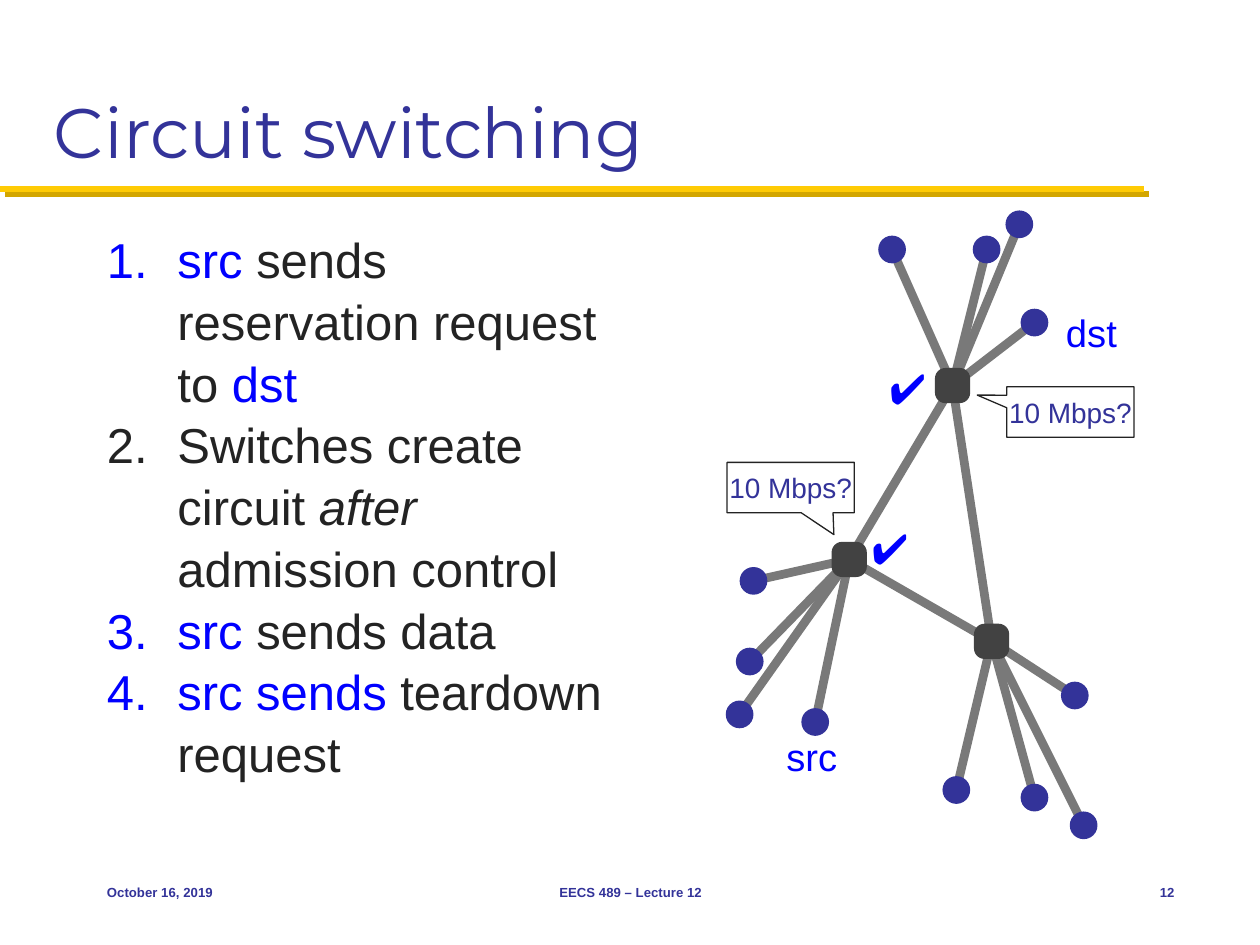
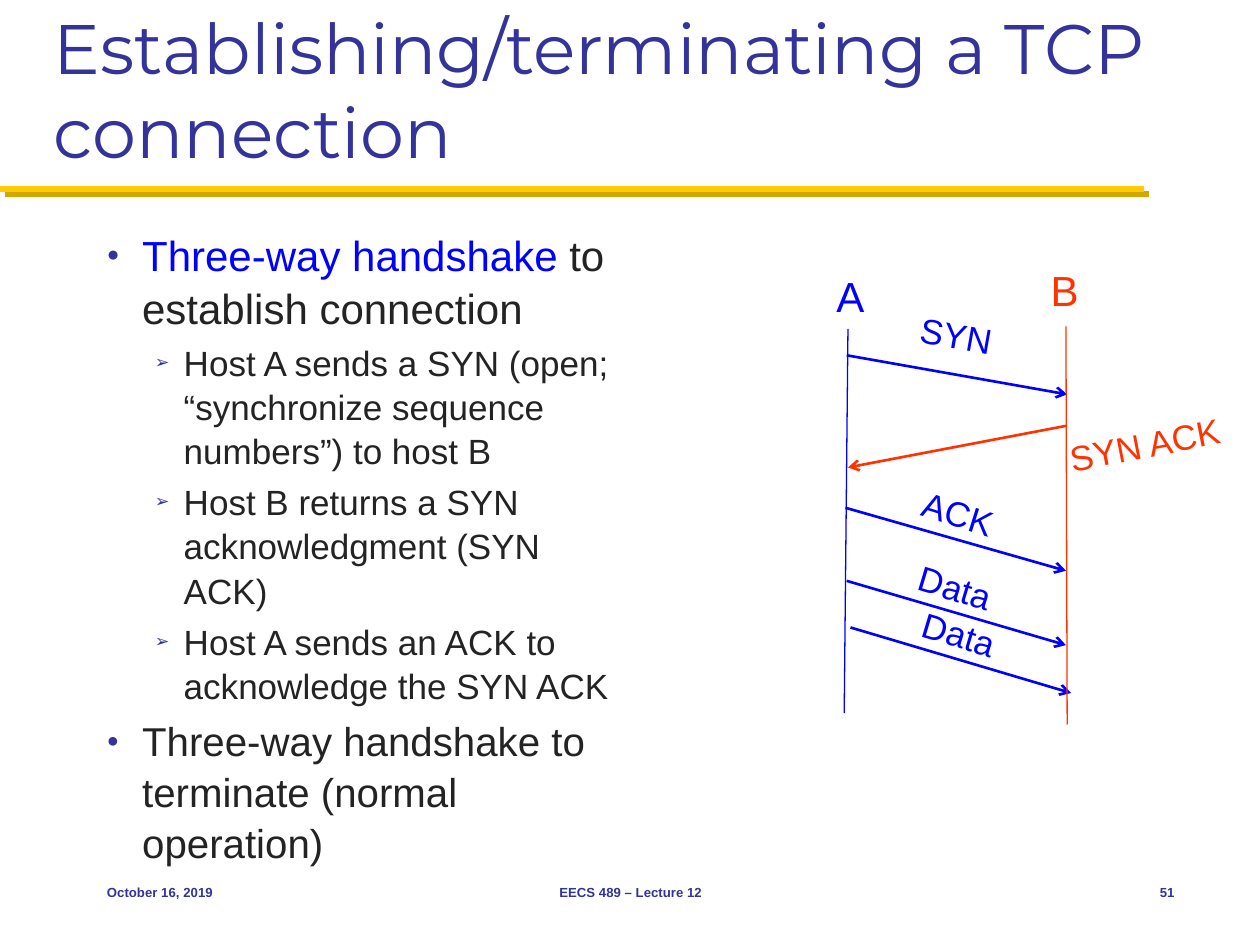
import pptx
import pptx.util
import pptx.dml.color
import pptx.enum.shapes
import pptx.enum.text
import pptx.oxml.ns
from lxml import etree

Inches, Pt = pptx.util.Inches, pptx.util.Pt
RGBColor = pptx.dml.color.RGBColor
SHAPE = pptx.enum.shapes.MSO_SHAPE
ALIGN = pptx.enum.text.PP_ALIGN
ANCHOR = pptx.enum.text.MSO_ANCHOR
qn = pptx.oxml.ns.qn

# Shared colours
NAVY = RGBColor(0x33, 0x33, 0x99)
BLUE = RGBColor(0x00, 0x00, 0xFF)
RED = RGBColor(0xFF, 0x33, 0x00)
INK = RGBColor(0x23, 0x23, 0x23)
GOLD = RGBColor(0xFF, 0xCB, 0x05)
DARK_GOLD = RGBColor(0xD3, 0xA6, 0x00)
LINK_GREY = RGBColor(0x79, 0x79, 0x79)
SWITCH_GREY = RGBColor(0x42, 0x42, 0x42)

# Shared wording and places
DATE = "October 16, 2019"
COURSE = "EECS 489 – Lecture 12"
BODY_AREA = (0.75, 1.75, 4.25, 4.83)

# Circuit switching: each step is a list of (text, format) runs
STEPS = [
    [("src", {"color": BLUE}), (" sends reservation request to ", {}),
     ("dst", {"color": BLUE})],
    [("Switches create circuit ", {}), ("after", {"italic": True}),
     (" admission control", {})],
    [("src ", {"color": BLUE}), ("sends data", {})],
    [("src sends ", {"color": BLUE}), ("teardown request", {})],
]
SWITCHES = {"top": (7.56, 3.06), "left": (6.74, 4.44), "right": (7.87, 5.09)}
TRUNKS = [("left", "top"), ("left", "right"), ("top", "right")]
HOSTS = {
    "top": [(7.08, 1.98), (7.83, 1.98), (8.09, 1.78), (8.21, 2.56)],
    "left": [(5.98, 4.61), (5.95, 5.25), (5.87, 5.67), (6.47, 5.73)],
    "right": [(7.59, 6.27), (8.21, 6.33), (8.6, 6.55), (8.53, 5.52)],
}
HOST_SIZE, SWITCH_SIZE = 0.22, 0.28
HOST_LABELS = [("dst", 8.42, 2.41), ("src", 6.2, 5.78)]
QUESTIONS = [(5.77, 3.67, (0.34, 0.934)), (7.99, 3.07, (-0.732, -0.334))]
CHECKS = [(6.82, 4.1), (6.96, 2.83)]

# TCP connection: (level, size, runs)
POINTS = [
    (0, 24, [("Three-way handshake", {"color": BLUE}),
             (" to establish connection", {})]),
    (1, 20, [("Host A sends a SYN (open; “synchronize sequence numbers”) "
              "to host B", {})]),
    (1, 20, [("Host B returns a SYN acknowledgment (SYN ACK)", {})]),
    (1, 20, [("Host A sends an ACK to acknowledge the SYN ACK", {})]),
    (0, 23, [("Three-way handshake to terminate (normal operation)", {})]),
]
BULLETS = [("●", 0.28, 0.28), ("➢", 0.61, 0.23)]  # sign, indent, hang
# Host name, colour, label box, timeline ends
TIMELINES = [
    ("B", RED, (8.24, 2.05, 0.42, 0.5), (8.46, 2.59), (8.47, 5.75)),
    ("A", BLUE, (6.53, 2.1, 0.44, 0.5), (6.73, 2.61), (6.7, 5.66)),
]
# Message, colour, arrow ends, label box, label angle
MESSAGES = [
    ("SYN", BLUE, (6.72, 2.82), (8.47, 3.13), (7.2, 2.44, 0.78, 0.44), 10.1),
    ("SYN ACK", RED, (8.46, 3.38), (6.73, 3.71), (8.37, 3.31, 1.43, 0.43), -10.9),
    ("ACK", BLUE, (6.71, 4.03), (8.46, 4.53), (7.21, 3.86, 0.79, 0.43), 17.4),
    ("Data", BLUE, (6.72, 4.61), (8.46, 5.12), (7.18, 4.44, 0.8, 0.44), 16.7),
    ("Data", BLUE, (6.75, 4.98), (8.5, 5.5), (7.21, 4.81, 0.8, 0.44), 16.7),
]


def add_runs(paragraph, runs, size, color=INK, font="Arial", bold=False):
    for words, style in runs:
        run = paragraph.add_run()
        run.text = words
        run.font.size, run.font.name, run.font.bold = Pt(size), font, bold
        run.font.italic = style.get("italic", False)
        run.font.color.rgb = style.get("color", color)


def write_text(shape, text, size, align=ALIGN.LEFT, anchor=ANCHOR.MIDDLE,
               wrap=False, margins=(0.1, 0.05), **style):
    """Put one line of text into a shape."""
    frame = shape.text_frame
    frame.word_wrap, frame.vertical_anchor = wrap, anchor
    frame.margin_left = frame.margin_right = Inches(margins[0])
    frame.margin_top = frame.margin_bottom = Inches(margins[1])
    frame.paragraphs[0].alignment = align
    add_runs(frame.paragraphs[0], [(text, {})], size, **style)


def add_label(slide, area, text, size, angle=0, **style):
    label = slide.shapes.add_textbox(*map(Inches, area))
    label.rotation = angle
    write_text(label, text, size, **style)


def add_line(slide, start, end, color, width, arrow=False):
    line = slide.shapes.add_connector(
        pptx.enum.shapes.MSO_CONNECTOR.STRAIGHT, *map(Inches, start + end))
    line.line.color.rgb, line.line.width = color, Pt(width)
    if arrow:
        etree.SubElement(line.line._get_or_add_ln(), qn("a:tailEnd"), type="arrow")
    etree.SubElement(line._element.spPr, qn("a:effectLst"))


def add_node(slide, kind, center, size, color):
    x, y = center
    node = slide.shapes.add_shape(kind, Inches(x - size / 2), Inches(y - size / 2),
                                  Inches(size), Inches(size))
    node.shadow.inherit = False
    node.fill.solid()
    node.fill.fore_color.rgb = color
    node.line.fill.background()
    return node


def add_list(slide, items):
    """items: (runs, size, level, indent, hang, bullet elements)."""
    frame = slide.shapes.add_textbox(*map(Inches, BODY_AREA)).text_frame
    frame.word_wrap = True
    for number, (runs, size, level, indent, hang, gap, bullet) in enumerate(items):
        paragraph = frame.add_paragraph() if number else frame.paragraphs[0]
        paragraph.level = level
        properties = paragraph._p.get_or_add_pPr()
        properties.set("marL", str(Inches(indent)))
        properties.set("indent", str(-Inches(hang)))
        for tag, attributes in bullet:
            element = etree.SubElement(properties, qn(tag), attributes)
            if tag == "a:buClr":
                etree.SubElement(element, qn("a:srgbClr"), val=str(NAVY))
        paragraph.line_spacing = 1.05
        paragraph.space_before = Pt(gap if number else 0)
        add_runs(paragraph, runs, size)


def add_page(deck, title, number):
    slide = deck.slides.add_slide(deck.slide_layouts[6])
    # Gold rule with its offset shade
    for offset, color in ((0.04, DARK_GOLD), (0, GOLD)):
        add_line(slide, (offset, 1.5 + offset), (9.08 + offset, 1.5 + offset),
                 color, 3.5)
    add_label(slide, (0.33, 0.17, 9.33, 1.25), title, 40, wrap=True,
              anchor=ANCHOR.BOTTOM, font="Montserrat", color=NAVY)
    # Footer
    for text, left, width, align in (
            (DATE, 0.75, 2.08, ALIGN.LEFT), (COURSE, 3.42, 3.17, ALIGN.CENTER),
            (str(number), 8.75, 0.67, ALIGN.RIGHT)):
        add_label(slide, (left, 6.83, width, 0.5), text, 7.5, wrap=True,
                  align=align, color=NAVY, bold=True)
    return slide


def build_circuit_switching(deck):
    slide = add_page(deck, "Circuit switching", 12)
    numbering = [("a:buFont", {"typeface": "+mj-lt"}),
                 ("a:buAutoNum", {"type": "arabicPeriod"})]
    add_list(slide, [(runs, 28, 0, 0.56, 0.56, 0, numbering) for runs in STEPS])

    # Network: links first, nodes on top
    links = [(SWITCHES[a], SWITCHES[b]) for a, b in TRUNKS]
    links += [(host, SWITCHES[name]) for name in HOSTS for host in HOSTS[name]]
    for start, end in links:
        add_line(slide, start, end, LINK_GREY, 5)
    for name, center in SWITCHES.items():
        for host in HOSTS[name]:
            add_node(slide, SHAPE.OVAL, host, HOST_SIZE, NAVY)
        switch = add_node(slide, SHAPE.ROUNDED_RECTANGLE, center, SWITCH_SIZE,
                          SWITCH_GREY)
        switch.adjustments[0] = 0.3

    # Labels, questions and check marks
    for name, left, top in HOST_LABELS:
        add_label(slide, (left, top, 0.49, 0.45), name, 21.8, color=BLUE,
                  margins=(0.04, 0.04))
    for left, top, tip in QUESTIONS:
        question = slide.shapes.add_shape(
            SHAPE.RECTANGULAR_CALLOUT, *map(Inches, (left, top, 1.01, 0.4)))
        question.adjustments[0], question.adjustments[1] = tip
        question.shadow.inherit = False
        question.fill.background()
        question.line.color.rgb, question.line.width = INK, Pt(0.75)
        write_text(question, "10 Mbps?", 16, align=ALIGN.CENTER, color=NAVY)
    for left, top in CHECKS:
        add_label(slide, (left, top, 0.54, 0.5), "✔️", 24, font="Calibri",
                  anchor=ANCHOR.TOP, color=BLUE)


def build_tcp_connection(deck):
    slide = add_page(deck, "Establishing/terminating a TCP connection", 51)
    items = []
    for level, size, runs in POINTS:
        sign, indent, hang = BULLETS[level]
        bullet = [("a:buClr", {}), ("a:buSzPct", {"val": "50000"}),
                  ("a:buFont", {"typeface": "Arial"}), ("a:buChar", {"char": sign})]
        items.append((runs, size, level, indent, hang, size * 0.2, bullet))
    add_list(slide, items)

    # Message exchange
    for text, color, start, end, area, angle in MESSAGES:
        add_line(slide, start, end, color, 1.5, arrow=True)
        add_label(slide, area, text, 20, angle, align=ALIGN.CENTER, color=color)
    for host, color, area, start, end in TIMELINES:
        add_line(slide, start, end, color, 0.75)
        add_label(slide, area, host, 24, align=ALIGN.CENTER, color=color)


def main():
    deck = pptx.Presentation()
    deck.slide_width, deck.slide_height = Inches(10), Inches(7.5)
    build_circuit_switching(deck)
    build_tcp_connection(deck)
    deck.save("out.pptx")


if __name__ == "__main__":
    main()
